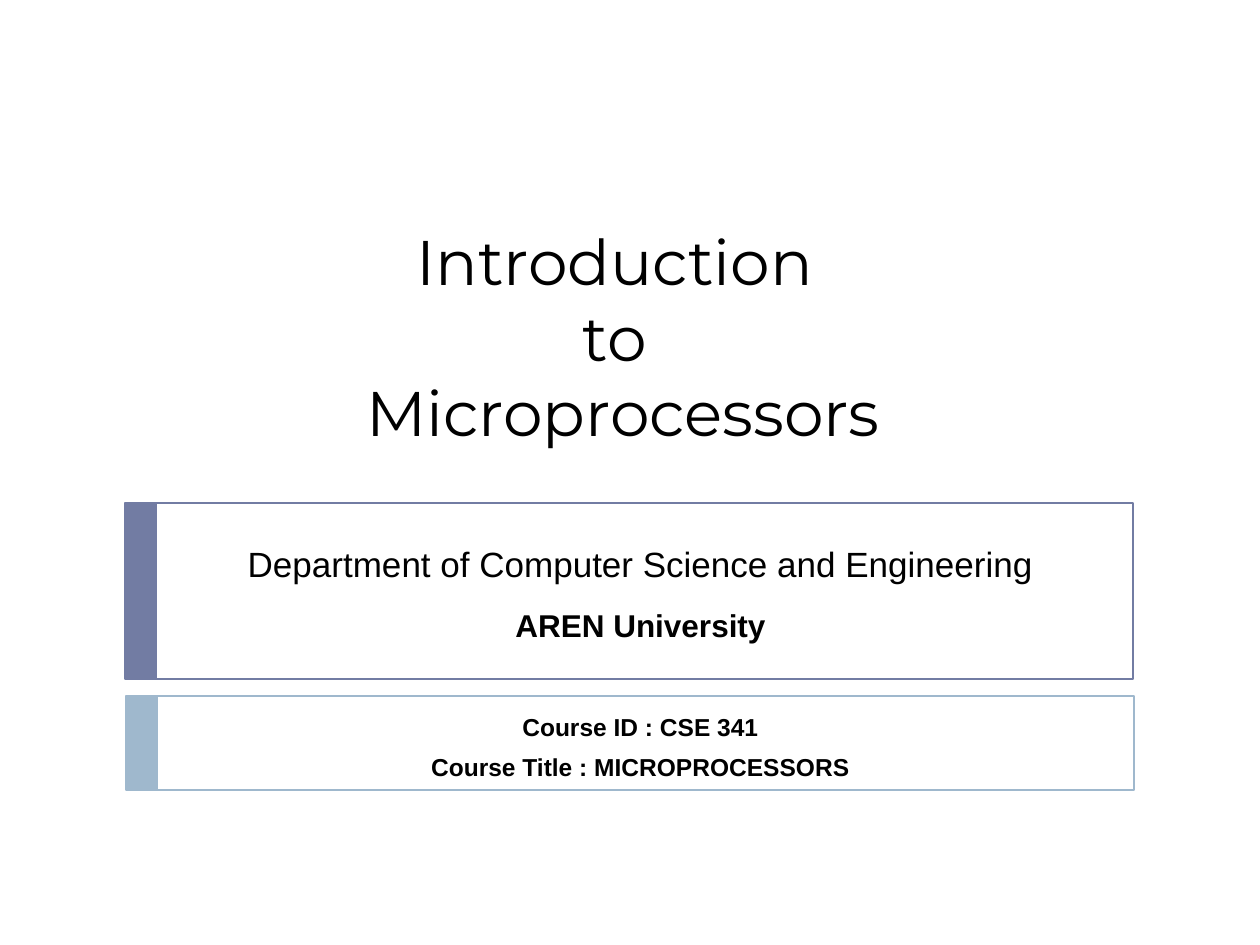
from dataclasses import dataclass

from pptx import Presentation
from pptx.dml.color import RGBColor
from pptx.enum.shapes import MSO_SHAPE
from pptx.enum.text import MSO_ANCHOR, PP_ALIGN
from pptx.util import Pt

RECT = MSO_SHAPE.RECTANGLE
TOP, MIDDLE = MSO_ANCHOR.TOP, MSO_ANCHOR.MIDDLE
CENTER = PP_ALIGN.CENTER
EMU_PER_PX = 914400 / 126


@dataclass(frozen=True)
class Theme:
    ink: str = "000000"
    paper: str = "FFFFFF"
    violet: str = "727CA3"
    sky: str = "9FB8CD"
    body_font: str = "Arial"
    title_font: str = "Montserrat"
    title: int = 36
    department: int = 20
    university: int = 18
    course: int = 14
    frame_line: float = 0.75
    panel_line: float = 1.5


THEME = Theme()
STRIP_WIDTH = 32

# Boxes are left, top, width, height in px.
FRAMES = [
    ((125, 503, 1008, 176), THEME.violet),
    ((126, 696, 1008, 94), THEME.sky),
]
CAPTIONS = [
    dict(lines=["Department of Computer Science and Engineering"],
         box=(168, 536, 945, 136), size=THEME.department),
    dict(lines=["Course ID : CSE 341", "Course Title : MICROPROCESSORS"],
         box=(168, 706, 945, 123), size=THEME.course, bold=True, gap=6),
]
PANELS = [
    dict(lines=["AREN University"],
         box=(399, 588, 483, 73), size=THEME.university, bold=True),
    dict(lines=["Introduction ", "to ", "Microprocessors"],
         box=(135, 210, 976, 252), size=THEME.title, font=THEME.title_font),
]


def px(*lengths):
    return [round(length * EMU_PER_PX) for length in lengths]


def rgb(colour):
    return RGBColor.from_string(colour)


def add_rect(slide, box, fill=None, line=None, width=0):
    rect = slide.shapes.add_shape(RECT, *px(*box))
    rect.shadow.inherit = False
    for part, colour in ((rect.fill, fill), (rect.line.fill, line)):
        if colour:
            part.solid()
            part.fore_color.rgb = rgb(colour)
        else:
            part.background()
    if line:
        rect.line.width = Pt(width)
    return rect


def write(shape, anchor, lines, size, font=THEME.body_font, bold=False, gap=0):
    """Fill the shape with centred lines; gap is the space between them in pt."""
    frame = shape.text_frame
    frame.word_wrap = True
    frame.vertical_anchor = anchor
    frame.text = "\n".join(lines)
    style = {"name": font, "size": Pt(size), "bold": bold}
    for index, paragraph in enumerate(frame.paragraphs):
        paragraph.alignment = CENTER
        paragraph.space_before = Pt(gap if index else 0)
        run_font = paragraph.runs[0].font
        for attribute, value in style.items():
            setattr(run_font, attribute, value)
        run_font.color.rgb = rgb(THEME.ink)


def main():
    deck = Presentation()
    deck.slide_width, deck.slide_height = px(1260, 945)
    slide = deck.slides.add_slide(deck.slide_layouts[6])

    for box, colour in FRAMES:
        left, top, _, height = box
        add_rect(slide, box, line=colour, width=THEME.frame_line)
        add_rect(slide, (left, top, STRIP_WIDTH, height), fill=colour)

    for caption in CAPTIONS:
        content = dict(caption)
        textbox = slide.shapes.add_textbox(*px(*content.pop("box")))
        write(textbox, TOP, **content)

    for panel in PANELS:
        content = dict(panel)
        rect = add_rect(slide, content.pop("box"), THEME.paper, THEME.paper,
                        THEME.panel_line)
        write(rect, MIDDLE, **content)

    deck.save("out.pptx")


if __name__ == "__main__":
    main()
